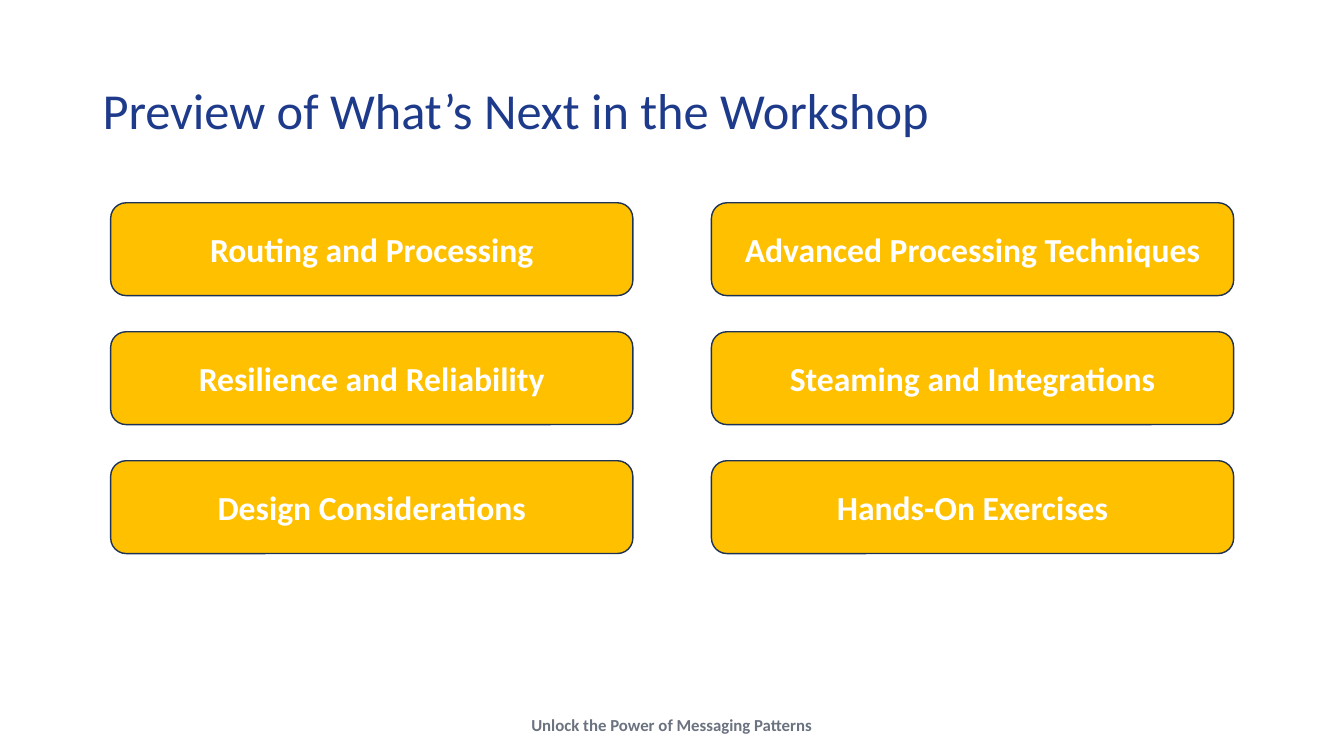
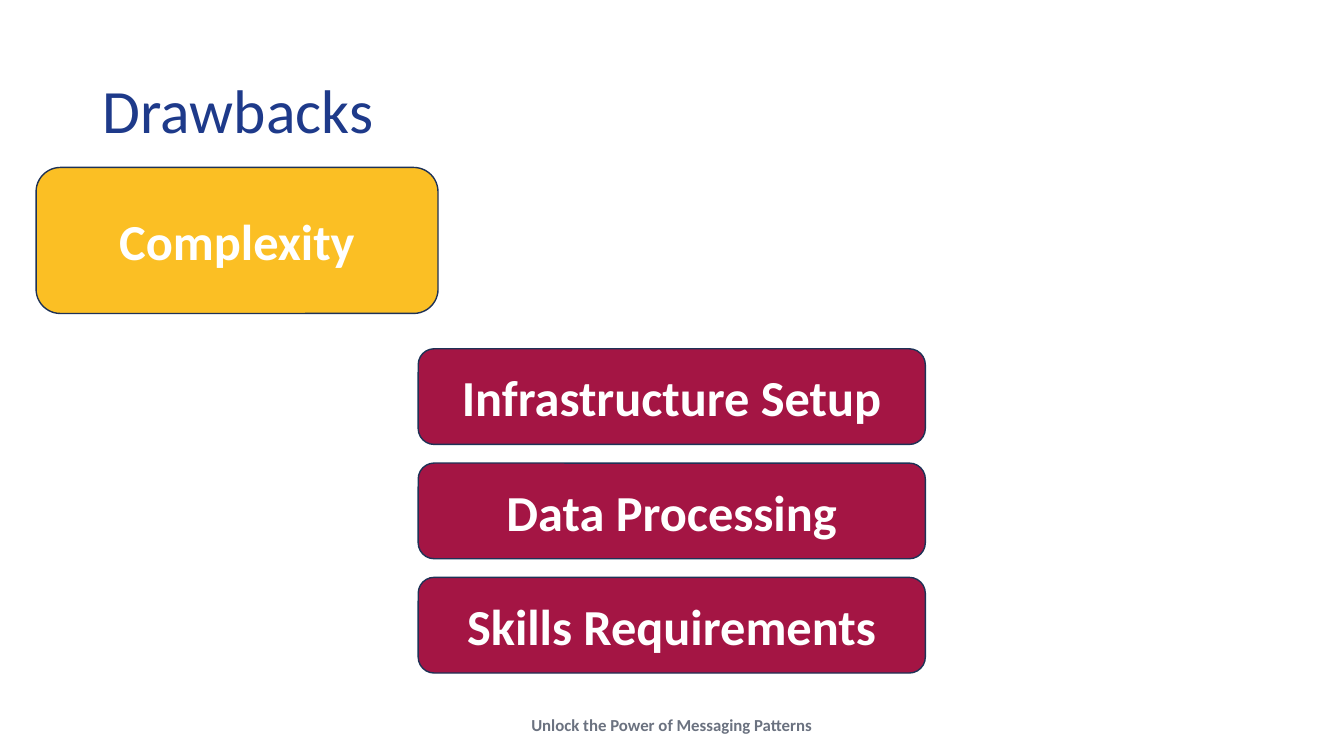
"""Build two workshop slides: a preview of topics and the drawbacks."""
from pptx import Presentation
from pptx.dml.color import RGBColor
from pptx.enum.shapes import MSO_SHAPE
from pptx.enum.text import MSO_ANCHOR, MSO_AUTO_SIZE, PP_ALIGN
from pptx.util import Cm, Pt

ROUNDED = MSO_SHAPE.ROUNDED_RECTANGLE
MIDDLE = MSO_ANCHOR.MIDDLE
NO_FIT = MSO_AUTO_SIZE.NONE
LEFT, CENTER = PP_ALIGN.LEFT, PP_ALIGN.CENTER
TITLE_ONLY = 5

FONT = "Calibri"
COLORS = {
    "title": "1E3A8A",
    "footer": "6B7280",
    "outline": "1E3256",
    "label": "FFFFFF",
    "topic": "FFC000",
    "theme": "FBBF24",
    "drawback": "A41544",
}
TITLE_BOX = (2.33, 1.01, 29.21, 3.68)
FOOTER_BOX = (13.08, 17.88, 7.7, 0.77)
FOOTER = "Unlock the Power of Messaging Patterns"
TOPICS = [
    "Routing and Processing", "Advanced Processing Techniques",
    "Resilience and Reliability", "Steaming and Integrations",
    "Design Considerations", "Hands-On Exercises",
]
DRAWBACKS = ["Infrastructure Setup", "Data Processing", "Skills Requirements"]


def color(name):
    """Return the named colour."""
    return RGBColor.from_string(COLORS[name])


def write(shape, text, size, color_name, bold=True, alignment=CENTER):
    """Set and format the single paragraph of a shape."""
    paragraph = shape.text_frame.paragraphs[0]
    paragraph.text = text
    paragraph.alignment = alignment
    paragraph.font.name = FONT
    paragraph.font.size = Pt(size)
    paragraph.font.bold = bold
    paragraph.font.color.rgb = color(color_name)
    return paragraph


def add_base_slide(presentation, title_text, title_size):
    """Add a slide with the shared title style and footer."""
    slide = presentation.slides.add_slide(presentation.slide_layouts[TITLE_ONLY])
    title = slide.shapes.title
    title.left, title.top, title.width, title.height = map(Cm, TITLE_BOX)
    title.text_frame.auto_size = NO_FIT
    title.text_frame.vertical_anchor = MIDDLE
    paragraph = write(title, title_text, title_size, "title", False, LEFT)
    paragraph.line_spacing = 0.9
    footer = slide.shapes.add_textbox(*map(Cm, FOOTER_BOX))
    footer.text_frame.word_wrap = False
    write(footer, FOOTER, 12, "footer")
    return slide


def add_card(slide, box, text, size, fill):
    """Add a rounded card with a bold centred label."""
    card = slide.shapes.add_shape(ROUNDED, *map(Cm, box))
    card.shadow.inherit = False
    card.fill.solid()
    card.fill.fore_color.rgb = color(fill)
    card.line.color.rgb = color("outline")
    card.line.width = Pt(1)
    card.text_frame.word_wrap = True
    card.text_frame.vertical_anchor = MIDDLE
    write(card, text, size, "label")


def add_card_grid(slide, box, labels, columns, gaps, size, fill):
    """Fill a box row by row with equal cards."""
    left, top, width, height = box
    column_gap, row_gap = gaps
    rows = len(labels) // columns
    card_width = (width - (columns - 1) * column_gap) / columns
    card_height = (height - (rows - 1) * row_gap) / rows
    for index, label in enumerate(labels):
        row, column = divmod(index, columns)
        card_box = (
            left + column * (card_width + column_gap),
            top + row * (card_height + row_gap),
            card_width,
            card_height,
        )
        add_card(slide, card_box, label, size, fill)


def add_preview_slide(presentation):
    """Add the slide that previews the workshop topics."""
    slide = add_base_slide(presentation, "Preview of What’s Next in the Workshop", 36)
    add_card_grid(slide, (2.79, 5.11, 28.3, 8.84), TOPICS, 2, (1.98, 0.91), 24, "topic")


def add_drawbacks_slide(presentation):
    """Add the slide that lists the drawbacks under their theme."""
    slide = add_base_slide(presentation, "Drawbacks", 44)
    add_card(slide, (0.91, 4.22, 10.13, 3.68), "Complexity", 36, "theme")
    add_card_grid(slide, (10.54, 8.79, 12.78, 8.17), DRAWBACKS, 1, (0, 0.47), 36, "drawback")


def main():
    """Build and save the presentation."""
    presentation = Presentation()
    presentation.slide_width = Cm(33.87)
    presentation.slide_height = Cm(19.05)
    add_preview_slide(presentation)
    add_drawbacks_slide(presentation)
    presentation.save("out.pptx")


if __name__ == "__main__":
    main()
